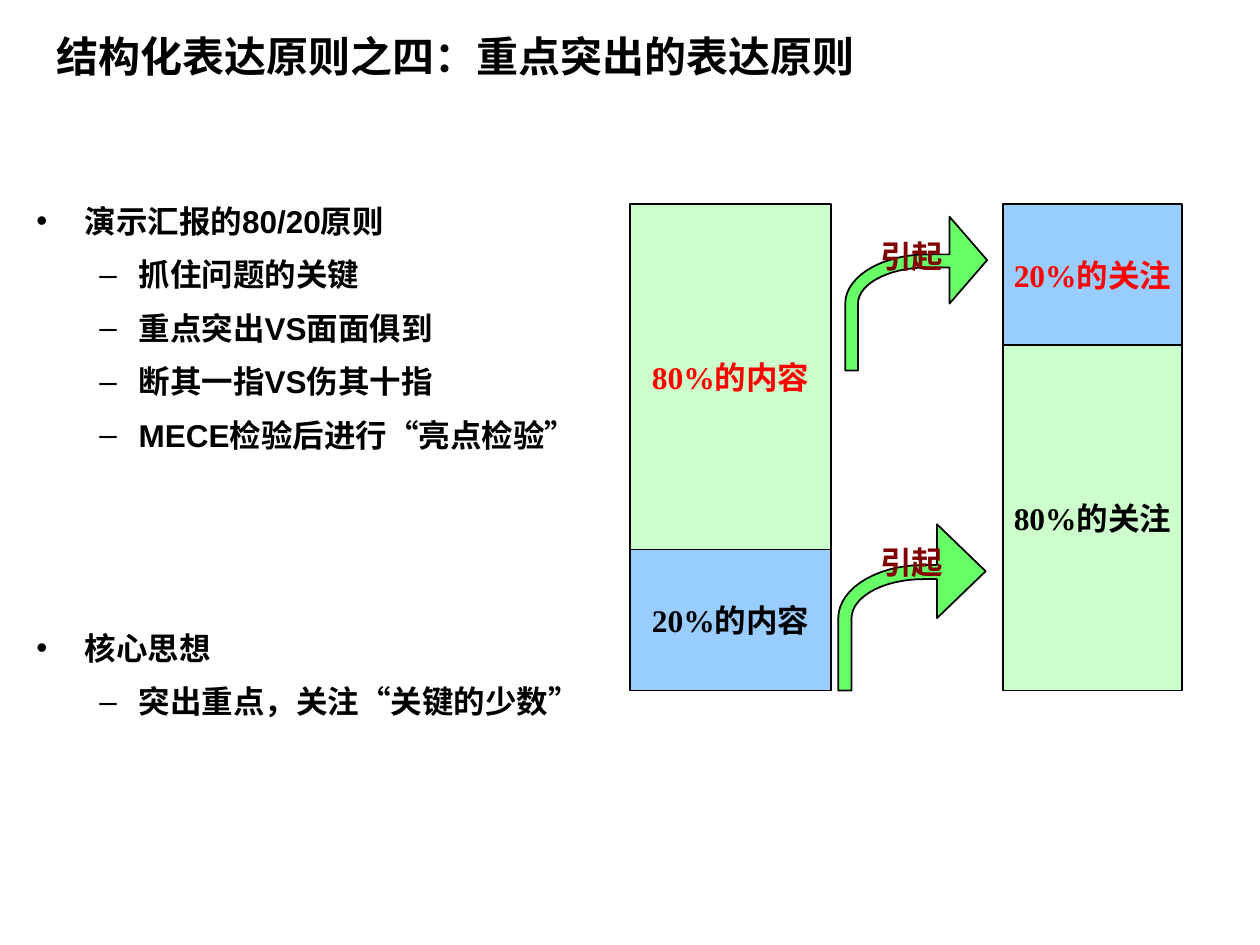
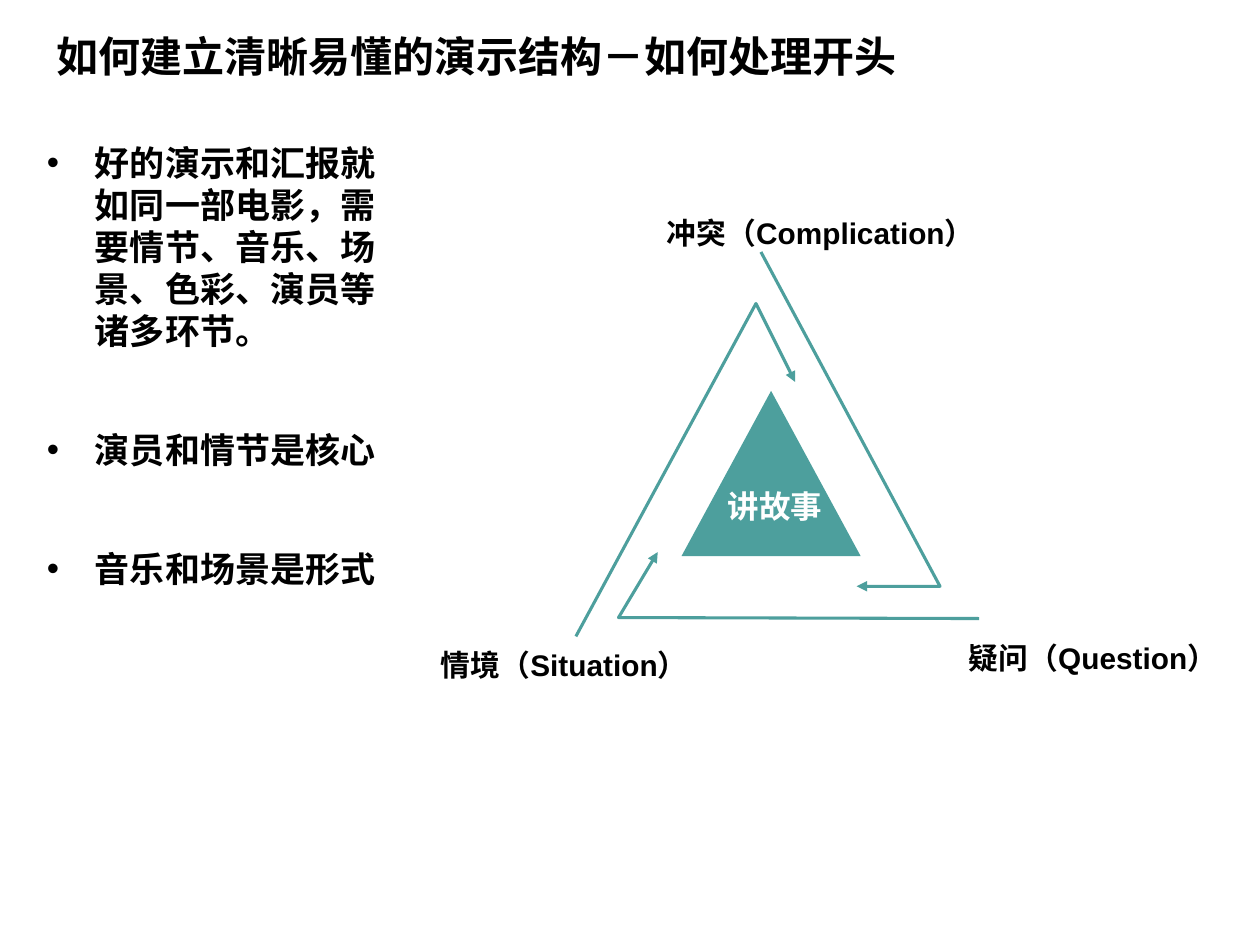
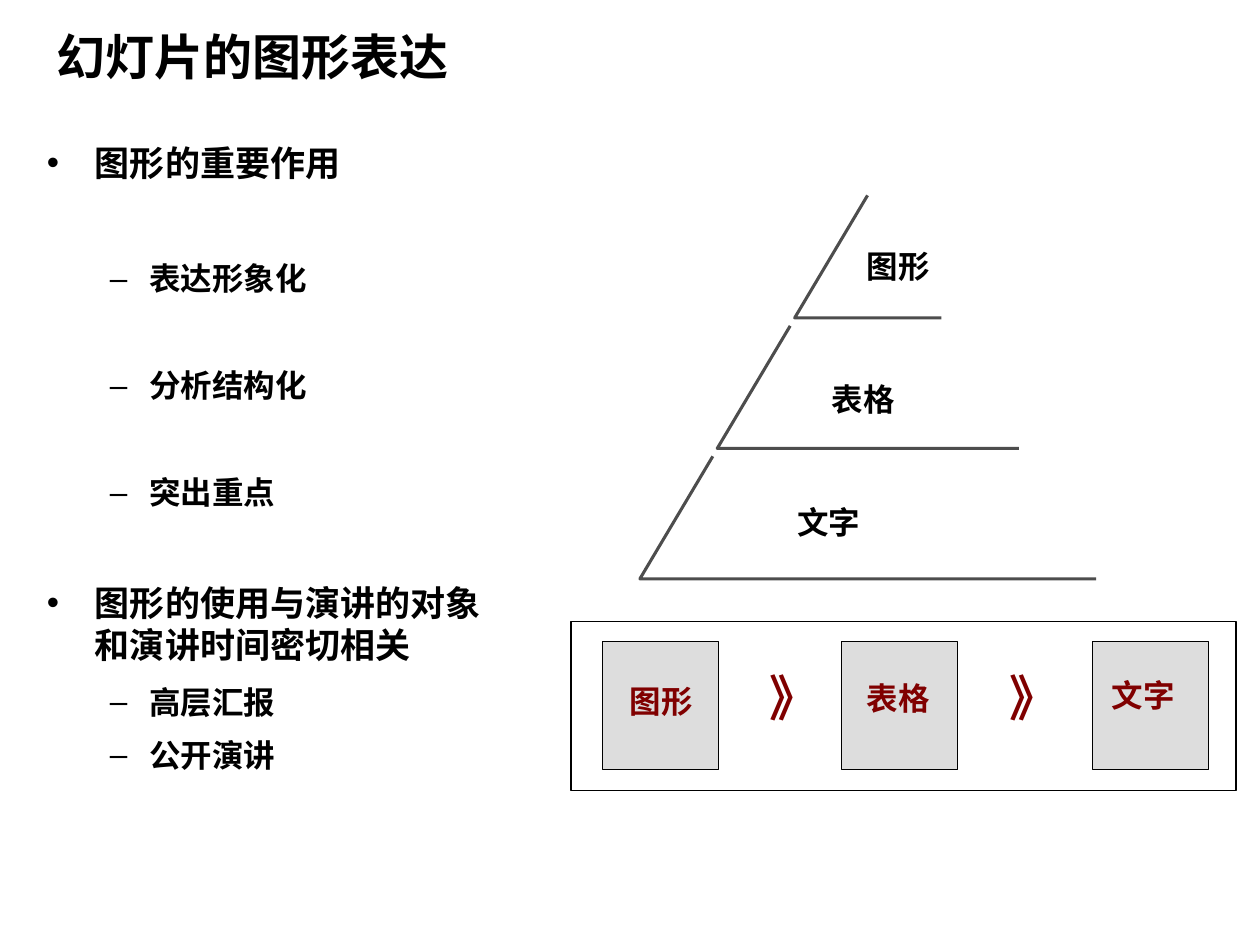
import math

from lxml import etree
from pptx import Presentation
from pptx.dml.color import RGBColor
from pptx.enum.shapes import MSO_SHAPE
from pptx.enum.text import MSO_ANCHOR, MSO_AUTO_SIZE, PP_ALIGN
from pptx.oxml.ns import qn
from pptx.util import Cm, Pt

RECT, TRIANGLE = MSO_SHAPE.RECTANGLE, MSO_SHAPE.ISOSCELES_TRIANGLE
LEFT, CENTER = PP_ALIGN.LEFT, PP_ALIGN.CENTER
TOP, MIDDLE = MSO_ANCHOR.TOP, MSO_ANCHOR.MIDDLE
NO_FIT = MSO_AUTO_SIZE.NONE
SANS, SERIF = "Arial", "Times New Roman"
BLACK, WHITE, RED, MAROON = "000000", "FFFFFF", "FF0000", "800000"
MINT, SKY, GREEN = "CCFFCC", "99CCFF", "66FF66"
TEAL, DARK_GRAY, LIGHT_GRAY = "4D9F9D", "4D4D4D", "DDDDDD"
TITLE_BOX = (0.89, 0.33, 18.62, 1.6)
MARGINS, HANGS = (0.97, 2.06), (0.97, 0.79)


def rgb(color):
    """Turn a hex string into a colour."""
    return RGBColor.from_string(color)


def write(p, text, size=18, font=SANS, color=BLACK, bold=True, align=LEFT, spacing=None):
    """Add formatted text to a paragraph."""
    p.alignment = align
    p.line_spacing = spacing
    r = p.add_run()
    r.text = text
    r.font.size, r.font.name, r.font.bold = Pt(size), font, bold
    r.font.color.rgb = rgb(color)


def place(sp, box):
    """Move and size a shape to a box in centimetres."""
    sp.left, sp.top, sp.width, sp.height = map(Cm, box)


def style(sp, fill=None, line=None, width=1.0):
    """Set fill and line and drop the shadow."""
    sp.shadow.inherit = False
    if fill:
        sp.fill.solid()
        sp.fill.fore_color.rgb = rgb(fill)
    else:
        sp.fill.background()
    if line:
        sp.line.color.rgb = rgb(line)
        sp.line.width = Pt(width)
    else:
        sp.line.fill.background()


def add_label(s, box, text, inset=True, **fmt):
    """Add a text box with one line of text."""
    tf = s.shapes.add_textbox(*map(Cm, box)).text_frame
    tf.word_wrap = True
    if not inset:
        tf.margin_left = tf.margin_right = tf.margin_top = tf.margin_bottom = 0
    write(tf.paragraphs[0], text, **fmt)


def add_box(s, box, fill, line=None, width=1.0, kind=RECT):
    """Add a filled preset shape."""
    sp = s.shapes.add_shape(kind, *map(Cm, box))
    style(sp, fill, line, width)
    return sp


def add_outline(s, points, closed=False, **look):
    """Add a freeform through points in centimetres."""
    points = [(Cm(x), Cm(y)) for x, y in points]
    builder = s.shapes.build_freeform(*points[0])
    builder.add_line_segments(points[1:], close=closed)
    sp = builder.convert_to_shape()
    style(sp, **look)
    return sp


def add_slide(prs, title, body_box, items, title_size=24, head_size=20):
    """Add a slide with its title and its list of level, text and gap above."""
    s = prs.slides.add_slide(prs.slide_layouts[1])
    head, body = s.placeholders
    place(head, TITLE_BOX)
    place(body, body_box)
    for sp, anchor in ((head, MIDDLE), (body, TOP)):
        sp.text_frame.auto_size = NO_FIT
        sp.text_frame.vertical_anchor = anchor
    write(head.text_frame.paragraphs[0], title, size=title_size)
    tf = body.text_frame
    for i, (level, text, gap) in enumerate(items):
        p = tf.add_paragraph() if i else tf.paragraphs[0]
        size = 18 if level else head_size
        p.level = level
        pPr = p._p.get_or_add_pPr()
        pPr.set("marL", str(Cm(MARGINS[level])))
        pPr.set("indent", str(-Cm(HANGS[level])))
        write(p, text, size=size)
        p.space_before = Pt(size / 4 + gap if i else 0)
        p.space_after = Pt(size / 4)
    return s


def split_bar(s, box, parts):
    """Stack parts of share, text, fill and text colour in one column."""
    x, y, w, h = box
    for share, text, fill, color in parts:
        sp = add_box(s, (x, y, w, h * share), fill, BLACK)
        tf = sp.text_frame
        tf.word_wrap = False
        tf.vertical_anchor = MIDDLE
        write(tf.paragraphs[0], text, font=SERIF, color=color, align=CENTER)
        y += h * share


def bent_arrow(s, box, neck):
    """Draw an arrow that rises and bends right, its head starting at neck."""
    x, y, w, h = box
    cx, cy = 0.58, 0.565
    turns = [math.radians(a) for a in range(0, 91, 6)]
    outer = [(cx - cx * math.cos(t), cy - 0.32 * math.sin(t)) for t in turns]
    inner = [(cx - 0.49 * math.cos(t), cy - 0.235 * math.sin(t)) for t in reversed(turns)]
    head = [(neck, 0.245), (neck, 0), (1, cy / 2), (neck, cy), (neck, 0.33)]
    outline = [(0, 1), *outer, *head, *inner, (0.09, 1)]
    add_outline(s, [(x + u * w, y + v * h) for u, v in outline], closed=True,
                fill=GREEN, line=BLACK)


def attention_chart(s, box):
    """Show how content shares lead to attention shares."""
    x, y, w, h = box
    split_bar(s, (x, y, 4.06, h), [(0.71, "80%的内容", MINT, RED),
                                   (0.29, "20%的内容", SKY, BLACK)])
    split_bar(s, (x + w - 3.61, y, 3.61, h), [(0.29, "20%的关注", SKY, RED),
                                              (0.71, "80%的关注", MINT, BLACK)])
    bent_arrow(s, (x + 4.34, y + 0.25, 2.86, 3.1), 0.735)
    bent_arrow(s, (x + 4.2, y + 6.45, 2.97, 3.35), 0.67)
    for dy in (0.61, 6.78):
        add_label(s, (x + 4.8, y + dy, 2.1, 0.94), "引起", font=SERIF, color=MAROON,
                  spacing=0.9)


def story_triangle(s, box):
    """Draw the story triangle with three arrows running round it."""
    x, y, w, h = box
    add_box(s, (x + 4.85, y + 3.56, 3.61, 3.33), TEAL, kind=TRIANGLE)
    arrows = [[(2.72, 8.51), (6.35, 1.8), (7.14, 3.38)],
              [(10.85, 8.15), (3.58, 8.13), (4.37, 6.81)],
              [(6.45, 0.76), (10.06, 7.5), (8.38, 7.5)]]
    for points in arrows:
        sp = add_outline(s, [(x + u, y + v) for u, v in points], line=TEAL, width=1.75)
        ln = sp.element.spPr.find(qn("a:ln"))
        etree.SubElement(ln, qn("a:tailEnd"), type="triangle")
    labels = [("冲突（Complication）", 4.55, 0), ("情境（Situation）", 0, h - 0.71),
              ("疑问（Question）", w - 5.8, h - 0.84)]
    for text, dx, dy in labels:
        add_label(s, (x + dx, y + dy, 7.8 if dx else 6.25, 0.71), text, inset=False, size=17)
    add_label(s, (x + 4.85, y + 5.38, 3.76, 1.02), "讲故事", font=SERIF, color=WHITE,
              align=CENTER)


def layer_pyramid(s, box, names):
    """Draw open layers that widen downwards, with their names."""
    x, y, w, h = box
    pitch = (h - 2.47) / (len(names) - 1)
    for i, (name, drop) in enumerate(names):
        left, top = x + 3.12 - 1.56 * i, y + pitch * i
        base = top + 2.47
        add_outline(s, [(left + 1.47, top), (left, base), (left + w - 3.12 * (2 - i), base)],
                    line=DARK_GRAY, width=1.75)
        add_label(s, (x + 4.32 - 0.7 * i, top + drop, 2, 1.02), name)


def ranking_strip(s, box, tiles):
    """Frame a row of tiles of name, tile offset and label offset."""
    x, y, w, h = box
    add_box(s, box, WHITE, BLACK, 0.75)
    for i, (name, dx, tx, ty) in enumerate(tiles):
        left, top = x + dx, y + 0.4
        add_box(s, (left, top, 2.34, 2.59), LIGHT_GRAY, BLACK, 0.75)
        add_label(s, (left + tx, top + ty, 2, 1.02), name, font=SERIF, color=MAROON)
        if i:
            add_label(s, (x + 4.83 * i - 1.07, y + 0.81, 1.04, 1.45), "》", size=28,
                      font=SERIF, color=MAROON)


def main():
    """Build the three slides."""
    prs = Presentation()
    prs.slide_width, prs.slide_height = Cm(25.4), Cm(19.05)

    s = add_slide(prs, "结构化表达原则之四：重点突出的表达原则", (0.48, 3.94, 23.6, 14.8), [
        (0, "演示汇报的80/20原则", 0),
        (1, "抓住问题的关键", 0),
        (1, "重点突出VS面面俱到", 0),
        (1, "断其一指VS伤其十指", 0),
        (1, "MECE检验后进行“亮点检验”", 0),
        (0, "核心思想", 91),
        (1, "突出重点，关注“关键的少数”", 0)], head_size=18)
    attention_chart(s, (12.7, 4.12, 11.13, 9.8))

    s = add_slide(prs, "如何建立清晰易懂的演示结构－如何处理开头", (0.69, 2.72, 7.8, 14.6), [
        (0, "好的演示和汇报就如同一部电影，需要情节、音乐、场景、色彩、演员等诸多环节。", 0),
        (0, "演员和情节是核心", 34),
        (0, "音乐和场景是形式", 34)])
    story_triangle(s, (8.89, 4.32, 16.44, 9.42))

    s = add_slide(prs, "幻灯片的图形表达", (0.69, 2.72, 9.6, 14.6), [
        (0, "图形的重要作用", 0),
        (1, "表达形象化", 34),
        (1, "分析结构化", 30.5),
        (1, "突出重点", 30.5),
        (0, "图形的使用与演讲的对象和演讲时间密切相关", 31),
        (1, "高层汇报", 0),
        (1, "公开演讲", 0)], title_size=28)
    layer_pyramid(s, (12.9, 3.94, 9.2, 7.73),
                  [("图形", 0.91), ("表格", 0.96), ("文字", 0.82)])
    ranking_strip(s, (11.51, 12.53, 13.41, 3.41), [
        ("图形", 0.64, 0.3, 0.69), ("表格", 5.46, 0.25, 0.63), ("文字", 10.52, 0.13, 0.58)])
    prs.save("out.pptx")


if __name__ == "__main__":
    main()
